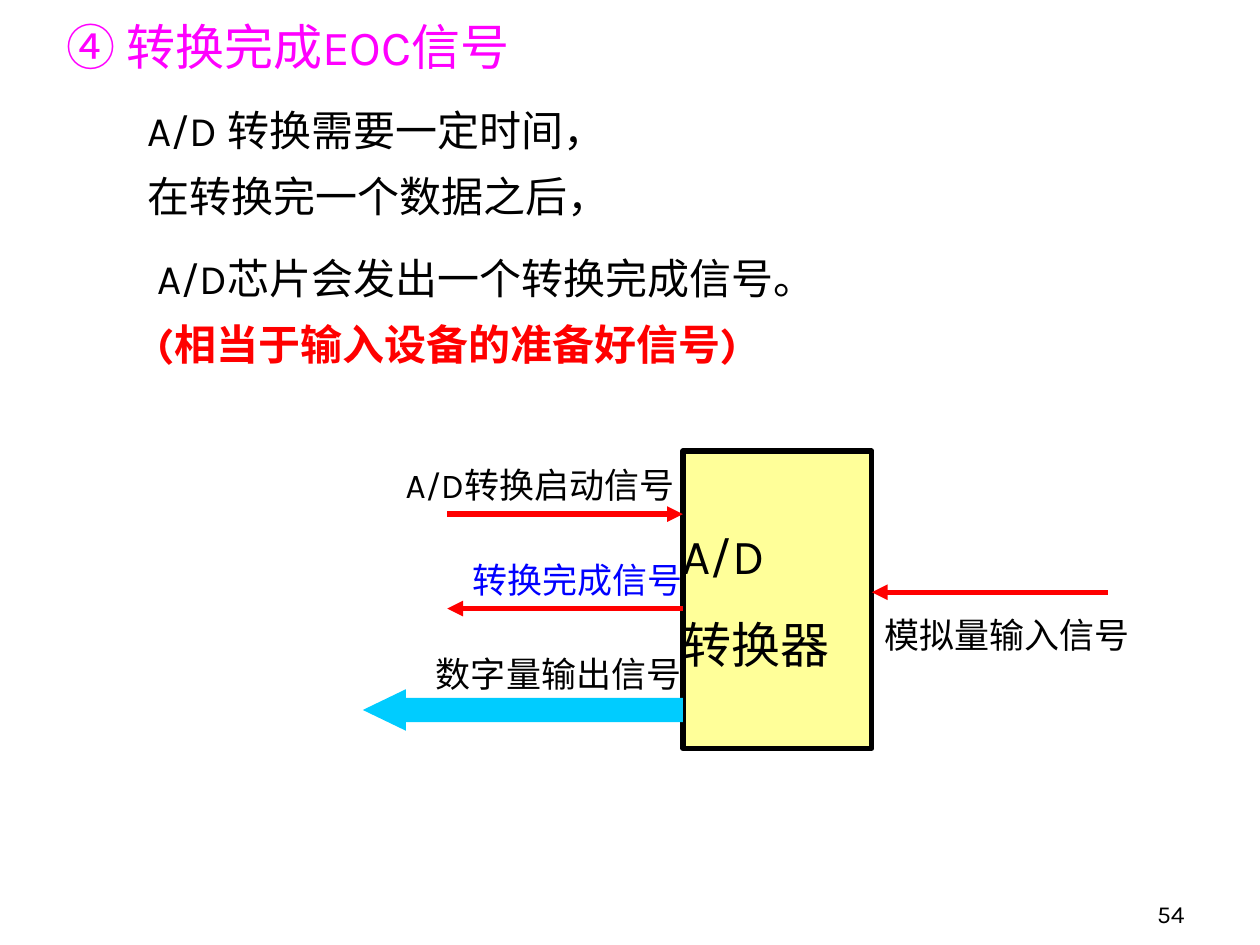
from lxml.etree import SubElement
from pptx import Presentation
from pptx.dml.color import RGBColor
from pptx.enum.shapes import MSO_CONNECTOR, MSO_SHAPE
from pptx.enum.text import MSO_ANCHOR, MSO_AUTO_SIZE, PP_ALIGN
from pptx.oxml.ns import qn
from pptx.util import Inches, Pt

COLORS = {
    "black": "000000", "magenta": "FF00FF", "red": "FF0000", "blue": "0000FF",
    "yellow": "FFFF99", "cyan": "00CCFF",
}
LATIN_FONT, CHINESE_FONT = "Karla", "Noto Sans CJK SC"
CHIP_LEFT, CHIP_WIDTH = 5.42, 1.5


def color(name):
    return RGBColor.from_string(COLORS[name])


def write(shape, lines, size, name="black", bold=False, margins=(0, 0, 0, 0), wrap=True):
    """Fill a shape with plain left-aligned lines and return its paragraphs."""
    frame = shape.text_frame
    frame.word_wrap = wrap
    frame.auto_size = MSO_AUTO_SIZE.NONE
    frame.vertical_anchor = MSO_ANCHOR.TOP
    frame.margin_left, frame.margin_top, frame.margin_right, frame.margin_bottom = map(Inches, margins)
    for index, line in enumerate(lines):
        paragraph = frame.add_paragraph() if index else frame.paragraphs[0]
        paragraph.alignment = PP_ALIGN.LEFT
        paragraph.space_before = Pt(0)
        run = paragraph.add_run()
        run.text = line
        run.font.size, run.font.bold, run.font.name = Pt(size), bold, LATIN_FONT
        run.font.color.rgb = color(name)
        SubElement(run.font._element, qn("a:ea"), typeface=CHINESE_FONT)
    return frame.paragraphs


presentation = Presentation()
presentation.slide_width, presentation.slide_height = Inches(10), Inches(7.5)
slide = presentation.slides.add_slide(presentation.slide_layouts[1])
shapes = slide.shapes
title, body = slide.placeholders

# Title
title.left, title.top, title.width, title.height = map(Inches, (0.35, 0.08, 4, 1.04))
write(title, ["④ 转换完成EOC信号"], 28, "magenta", margins=(0.18, 0.05, 0.1, 0.05), wrap=False)

# Explanation
body.left, body.top, body.width, body.height = map(Inches, (1.17, 0.83, 6.5, 2.1))
paragraphs = write(body, [
    "A/D 转换需要一定时间，",
    "在转换完一个数据之后，",
    "A/D芯片会发出一个转换完成信号。",
    "(相当于输入设备的准备好信号)",
], 24)
for paragraph, indent in zip(paragraphs, (0, 0, 0.08, 0.08)):
    paragraph.space_after = Pt(9)
    properties = paragraph._p.get_or_add_pPr()
    properties.set("marL", str(Inches(indent)))
    properties.set("indent", "0")
    SubElement(properties, qn("a:buNone"))
paragraphs[2].line_spacing = 1.3
highlight = paragraphs[3].runs[0].font
highlight.bold, highlight.color.rgb = True, color("red")

# Converter block
chip = shapes.add_shape(MSO_SHAPE.RECTANGLE, Inches(CHIP_LEFT), Inches(3.58), Inches(CHIP_WIDTH), Inches(2.36))
chip.shadow.inherit = False
chip.fill.solid()
chip.fill.fore_color.rgb = color("yellow")
chip.line.color.rgb, chip.line.width = color("black"), Pt(3)
chip_lines = write(chip, ["A/D", "转换器"], 28, margins=(0, 0.59, 0, 0.59))
chip_lines[1].space_before = Pt(17.5)

# Digital output arrow
output_arrow = shapes.add_shape(MSO_SHAPE.LEFT_ARROW, Inches(2.88), Inches(5.47), Inches(2.54), Inches(0.33))
output_arrow.shadow.inherit = False
output_arrow.adjustments[0], output_arrow.adjustments[1] = 0.583, 1.038
output_arrow.fill.solid()
output_arrow.fill.fore_color.rgb = color("cyan")
output_arrow.line.fill.background()

# Signal labels
for text, left, top, width, name in (
    ("模拟量输入信号", 7.02, 4.87, 1.98, "black"),
    ("数字量输出信号", 3.46, 5.18, 1.95, "black"),
    ("A/D转换启动信号", 3.22, 3.68, 2.22, "black"),
    ("转换完成信号", 3.75, 4.43, 1.67, "blue"),
):
    label = shapes.add_textbox(Inches(left), Inches(top), Inches(width), Inches(0.33))
    write(label, [text], 20, name, wrap=False)

# Signal arrows
chip_right = CHIP_LEFT + CHIP_WIDTH
for start, end, y in ((8.79, chip_right, 4.7), (3.55, CHIP_LEFT, 4.08), (CHIP_LEFT, 3.55, 4.83)):
    arrow = shapes.add_connector(MSO_CONNECTOR.STRAIGHT, Inches(start), Inches(y), Inches(end), Inches(y))
    arrow.line.color.rgb, arrow.line.width = color("red"), Pt(3)
    SubElement(arrow.line._get_or_add_ln(), qn("a:tailEnd"), type="triangle")
    SubElement(arrow._element.spPr, qn("a:effectLst"))

# Page number
page_number = shapes.add_textbox(Inches(7.42), Inches(6.92), Inches(2.08), Inches(0.5))
number_line = write(page_number, ["54"], 14, margins=(0.1, 0.05, 0.1, 0.05))[0]
number_line.alignment = PP_ALIGN.RIGHT
page_number.text_frame.vertical_anchor = MSO_ANCHOR.BOTTOM

presentation.save("out.pptx")
